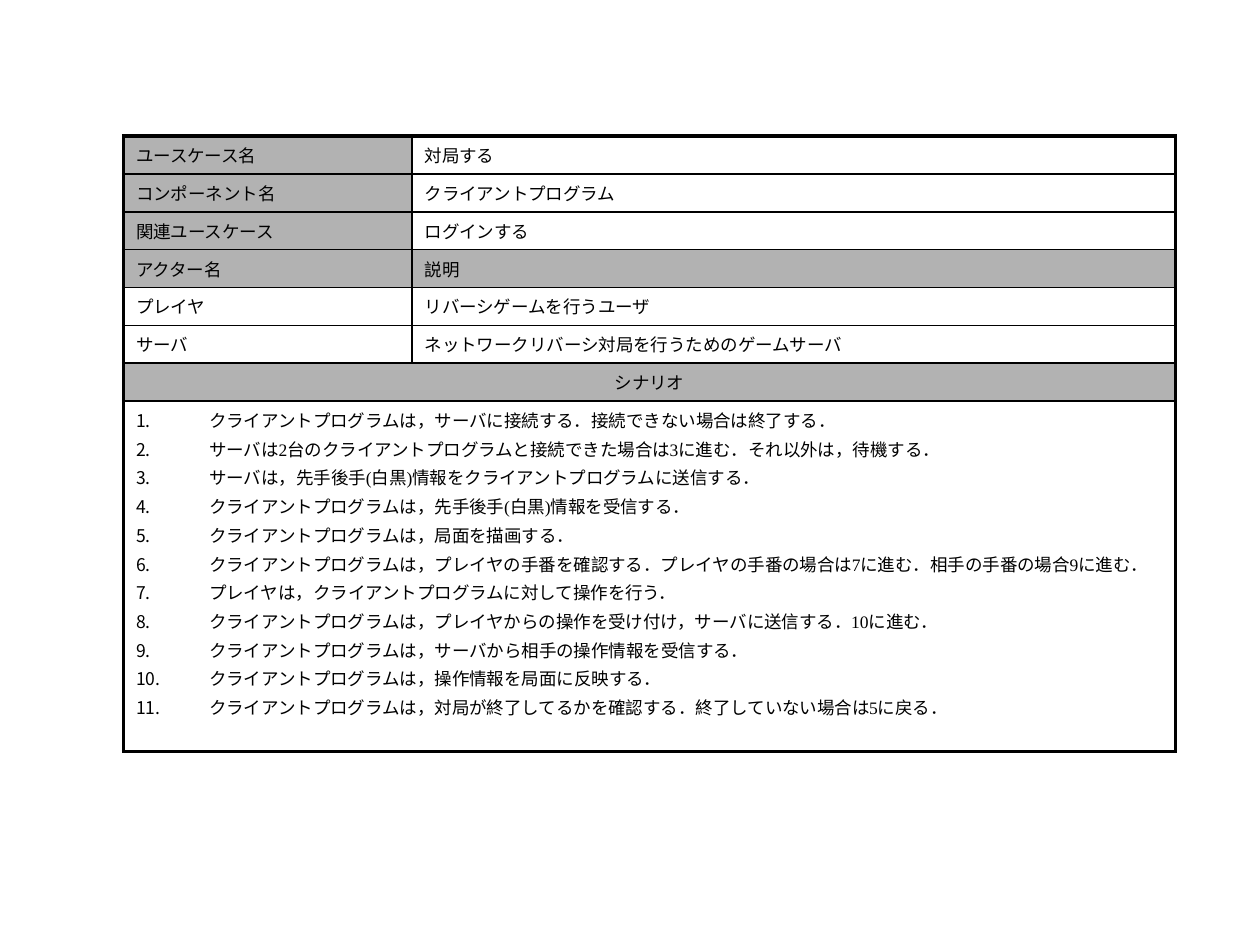
import pptx
import pptx.util
import pptx.dml.color
import pptx.enum.text
import pptx.oxml.ns
from lxml import etree

Inches = pptx.util.Inches
Pt = pptx.util.Pt
HUES = {"ink": "000000", "head": "B2B2B2", "page": "FFFFFF"}
FONT = "Times New Roman"
THICK, THIN = 2.25, 1

PAIRS = [
    ("ユースケース名", "対局する"),
    ("コンポーネント名", "クライアントプログラム"),
    ("関連ユースケース", "ログインする"),
    ("アクター名", "説明"),
    ("プレイヤ", "リバーシゲームを行うユーザ"),
    ("サーバ", "ネットワークリバーシ対局を行うためのゲームサーバ"),
]
GRAY = {(0, 0), (1, 0), (2, 0), (3, 0), (3, 1), (6, 0), (6, 1)}
STEPS = [
    "クライアントプログラムは，サーバに接続する．接続できない場合は終了する．",
    "サーバは2台のクライアントプログラムと接続できた場合は3に進む．それ以外は，待機する．",
    "サーバは，先手後手(白黒)情報をクライアントプログラムに送信する．",
    "クライアントプログラムは，先手後手(白黒)情報を受信する．",
    "クライアントプログラムは，局面を描画する．",
    "クライアントプログラムは，プレイヤの手番を確認する．プレイヤの手番の場合は7に進む．相手の手番の場合9に進む．",
    "プレイヤは，クライアントプログラムに対して操作を行う．",
    "クライアントプログラムは，プレイヤからの操作を受け付け，サーバに送信する．10に進む．",
    "クライアントプログラムは，サーバから相手の操作情報を受信する．",
    "クライアントプログラムは，操作情報を局面に反映する．",
    "クライアントプログラムは，対局が終了してるかを確認する．終了していない場合は5に戻る．",
]


def color(name):
    return pptx.dml.color.RGBColor.from_string(HUES[name])


def node(parent, tag, **attrs):
    return etree.SubElement(parent, pptx.oxml.ns.qn(tag), **attrs)


def add_edge(cell, side, width):
    line = node(cell._tc.get_or_add_tcPr(), "a:ln" + side, w=str(Pt(width)))
    node(node(line, "a:solidFill"), "a:srgbClr", val=HUES["ink"])


def style_cell(cell, row, col, last):
    outer = {"L": col == 0, "R": col == 1, "T": row == 0, "B": row == last}
    if row >= last - 1:
        outer["L"] = outer["R"] = True
    for side, edge in outer.items():
        add_edge(cell, side, THICK if edge else THIN)
    cell.fill.solid()
    cell.fill.fore_color.rgb = color("head" if (row, col) in GRAY else "page")


def style_run(para):
    for run in para.runs:
        run.font.name = FONT
        run.font.size = Pt(10)
        run.font.color.rgb = color("ink")


def set_text(cell, text):
    cell.text_frame.text = text
    para = cell.text_frame.paragraphs[0]
    style_run(para)
    return para


def add_steps(cell):
    frame = cell.text_frame
    for i, step in enumerate(STEPS):
        para = frame.add_paragraph() if i else frame.paragraphs[0]
        para.text = step
        if i:
            para.space_before = Pt(2)
        props = para._p.get_or_add_pPr()
        props.set("marL", str(Inches(0.58)))
        props.set("indent", str(-Inches(0.58)))
        props.set("hangingPunct", "0")
        node(props, "a:buAutoNum", type="arabicPeriod")
        style_run(para)


def add_grid(slide):
    count = len(PAIRS) + 2
    frame = slide.shapes.add_table(
        count, 2, Inches(0.98), Inches(1.08), Inches(8.35), Inches(4.16))
    table = frame.table
    table.first_row = table.horz_banding = False
    for col, width in zip(table.columns, (2.29, 6.06)):
        col.width = Inches(width)
    for i, row in enumerate(table.rows):
        row.height = Inches(2.27 if i == count - 1 else 0.27)
        for j, cell in enumerate(row.cells):
            style_cell(cell, i, j, count - 1)
    for i, pair in enumerate(PAIRS):
        for j, text in enumerate(pair):
            set_text(table.cell(i, j), text)
    for i in (count - 2, count - 1):
        table.cell(i, 0).merge(table.cell(i, 1))
    para = set_text(table.cell(count - 2, 0), "シナリオ")
    para.alignment = pptx.enum.text.PP_ALIGN.CENTER
    add_steps(table.cell(count - 1, 0))


def main():
    deck = pptx.Presentation()
    deck.slide_width, deck.slide_height = Inches(10), Inches(7.5)
    add_grid(deck.slides.add_slide(deck.slide_layouts[6]))
    deck.save("out.pptx")


if __name__ == "__main__":
    main()
